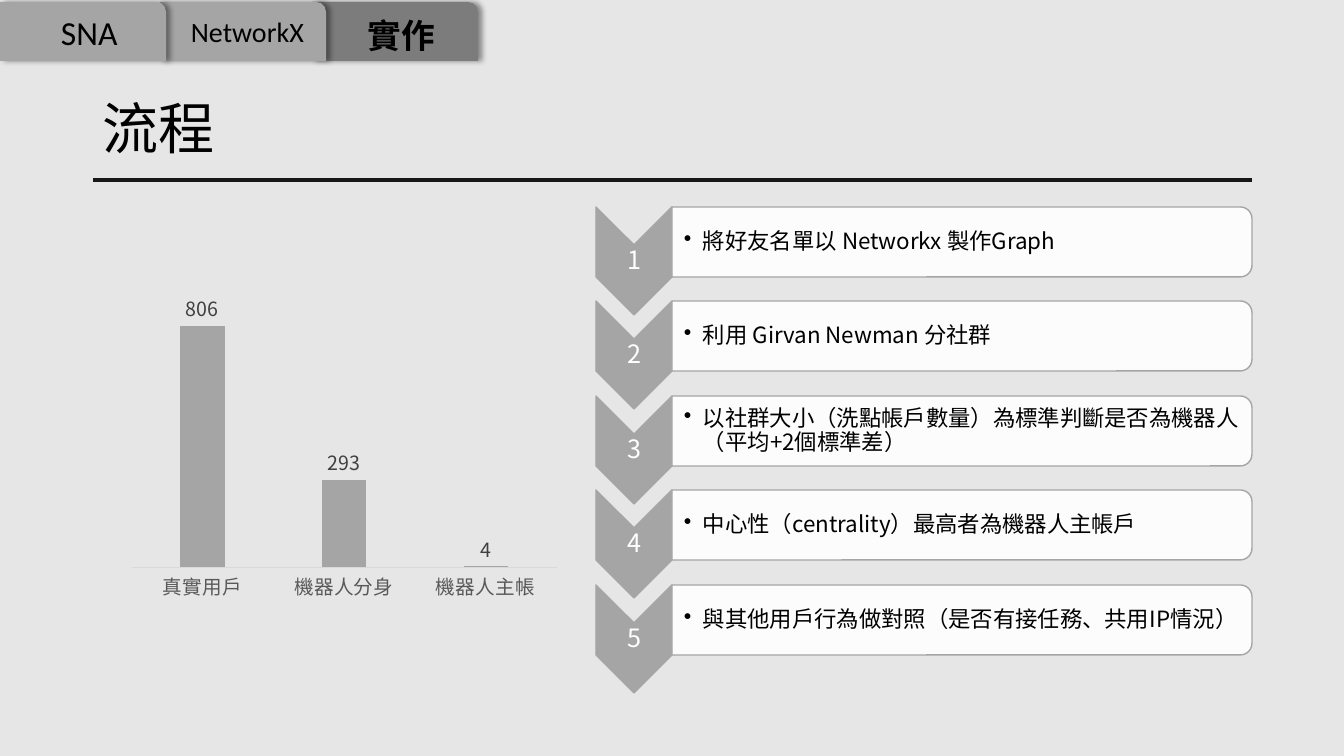
import lxml.etree
import pptx
import pptx.chart.data
import pptx.dml.color
import pptx.enum.chart
import pptx.enum.shapes
import pptx.enum.text
import pptx.oxml
import pptx.oxml.ns
import pptx.util

SCALE = 914400 / 100.8
CJK = "Noto Sans CJK SC"
LATIN = "Calibri"
GRAY, BLACK, WHITE = "A5A5A5", "000000", "FFFFFF"
SHAPES = pptx.enum.shapes.MSO_SHAPE
ALIGN = pptx.enum.text.PP_ALIGN
ANCHOR = pptx.enum.text.MSO_ANCHOR

TABS = [  # label, tab left, fill, text box, size, font, bold, alignment
    ("實作", 312, "7C7C7C", (358, 10, 97, 50), 24, CJK, True, ALIGN.JUSTIFY),
    ("NetworkX", 160, GRAY, (181, 10, 164, 44), 20, LATIN, False, ALIGN.LEFT),
    ("SNA", 0, GRAY, (51, 7, 104, 50), 24, LATIN, False, ALIGN.LEFT),
]
STEPS = [
    "將好友名單以 Networkx 製作Graph",
    "利用 Girvan Newman 分社群",
    "以社群大小（洗點帳戶數量）為標準判斷是否為機器人\n（平均+2個標準差）",
    "中心性（centrality）最高者為機器人主帳戶",
    "與其他用戶行為做對照（是否有接任務、共用IP情況）",
]
ACCOUNTS = {"真實用戶": 806, "機器人分身": 293, "機器人主帳": 4}
FIRST_STEP_TOP, STEP_PITCH = 207, 94.4


def px(length):
    return pptx.util.Emu(round(length * SCALE))


def rgb(code):
    return pptx.dml.color.RGBColor.from_string(code)


def add_xml(parent, tag, **attributes):
    return lxml.etree.SubElement(parent, pptx.oxml.ns.qn(tag), attributes)


def style_font(font, size, color, name=CJK, bold=False):
    font.size = pptx.util.Pt(size)
    font.bold = bold
    font.color.rgb = rgb(color)
    font.name = name
    latin = font._rPr.find(pptx.oxml.ns.qn("a:latin"))
    east_asian = add_xml(font._rPr, "a:ea", typeface=name)
    latin.addnext(east_asian)


def add_text(slide, text, area, size, color=BLACK, name=CJK, bold=False,
             align=ALIGN.LEFT, anchor=ANCHOR.TOP, insets=None, spacing=None):
    box = slide.shapes.add_textbox(*map(px, area))
    frame = box.text_frame
    frame.word_wrap = True
    frame.vertical_anchor = anchor
    if insets:
        (frame.margin_left, frame.margin_top,
         frame.margin_right, frame.margin_bottom) = map(px, insets)
    para = frame.paragraphs[0]
    para.alignment = align
    para.line_spacing = spacing
    for index, line in enumerate(text.split("\n")):
        if index:
            para.add_line_break()
        span = para.add_run()
        span.text = line
        style_font(span.font, size, color, name, bold)
    return para


def add_bullet(para, indent):
    props = para._p.get_or_add_pPr()
    props.set("marL", str(px(indent)))
    props.set("indent", str(px(-indent)))
    add_xml(props, "a:buChar", char="•")


def add_shape(slide, kind, area, fill, line=None):
    shape = slide.shapes.add_shape(kind, *map(px, area))
    shape.shadow.inherit = False
    shape.fill.solid()
    shape.fill.fore_color.rgb = rgb(fill)
    if line:
        shape.line.color.rgb = rgb(line)
        shape.line.width = pptx.util.Pt(1)
    else:
        shape.line.fill.background()
    return shape


def add_turned_shape(slide, kind, area, fill):
    """Fill the visible area with a shape turned by 90 degrees."""
    left, top, width, height = area
    shift = (width - height) / 2
    shape = add_shape(slide, kind, (left + shift, top - shift, height, width), fill, GRAY)
    shape.rotation = 90
    return shape


def add_tab(slide, left, fill):
    tab = add_shape(slide, SHAPES.ROUND_1_RECTANGLE, (left, 2, 166, 59), fill)
    effects = tab._element.spPr.find(pptx.oxml.ns.qn("a:effectLst"))
    shadow = add_xml(effects, "a:outerShdw", blurRad=str(pptx.util.Pt(4)),
                     dist=str(pptx.util.Pt(3)), dir="0", algn="l", rotWithShape="0")
    add_xml(add_xml(shadow, "a:srgbClr", val=BLACK), "a:alpha", val="40000")


def add_rule(slide, left, right, y):
    rule = slide.shapes.add_connector(
        pptx.enum.shapes.MSO_CONNECTOR.STRAIGHT, px(left), px(y), px(right), px(y))
    rule.line.color.rgb = rgb("181717")
    rule.line.width = pptx.util.Pt(2.25)
    add_xml(rule._element.spPr, "a:effectLst")


def add_step(slide, number, text):
    top = round(FIRST_STEP_TOP + (number - 1) * STEP_PITCH)
    add_turned_shape(slide, SHAPES.CHEVRON, (596, top, 76, 108), GRAY)
    add_text(slide, str(number), (596, top + 38, 76, 32), 18, WHITE,
             align=ALIGN.CENTER, anchor=ANCHOR.MIDDLE, insets=(1, 1, 1, 1), spacing=0.9)
    panel = add_turned_shape(slide, SHAPES.ROUND_2_SAME_RECTANGLE,
                             (672, top, 580, 70), WHITE)
    color = panel._element.spPr.find(".//" + pptx.oxml.ns.qn("a:srgbClr"))
    add_xml(color, "a:alpha", val="90000")
    para = add_text(slide, text, (672, top + 4, 577, 63), 16,
                    anchor=ANCHOR.MIDDLE, insets=(12, 1, 1, 1), spacing=0.9)
    para.space_after = pptx.util.Pt(2.4)
    add_bullet(para, 19)


def add_account_chart(slide, area):
    data = pptx.chart.data.CategoryChartData()
    data.categories = list(ACCOUNTS)
    data.add_series("Series 1", list(ACCOUNTS.values()))
    chart = slide.shapes.add_chart(
        pptx.enum.chart.XL_CHART_TYPE.COLUMN_CLUSTERED, *map(px, area), data).chart
    chart.has_legend = False
    chart.has_title = False
    chart.font.name = LATIN
    chart.font.size = pptx.util.Pt(10)

    # Axes
    values = chart.value_axis
    values.visible = False
    values.has_major_gridlines = False
    values.minimum_scale, values.maximum_scale = 0, 900
    names = chart.category_axis
    names.major_tick_mark = pptx.enum.chart.XL_TICK_MARK.NONE
    names.format.line.color.rgb = rgb("D9D9D9")
    names.format.line.width = pptx.util.Pt(0.75)
    style_font(names.tick_labels.font, 14, "595959")

    # Columns and their labels
    plot = chart.plots[0]
    plot.vary_by_categories = False
    plot.gap_width, plot.overlap = 219, -27
    series = plot.series[0]
    series.format.fill.solid()
    series.format.fill.fore_color.rgb = rgb(GRAY)
    labels = series.data_labels
    labels.show_value = True
    labels.position = pptx.enum.chart.XL_LABEL_POSITION.OUTSIDE_END
    style_font(labels.font, 14, "404040")

    # Plot area placement
    plot_area = chart._chartSpace.chart.plotArea
    for old in plot_area.findall(pptx.oxml.ns.qn("c:layout")):
        plot_area.remove(old)
    layout = add_xml(plot_area, "c:layout")
    plot_area.insert(0, layout)
    manual = add_xml(layout, "c:manualLayout")
    for tag, value in (("layoutTarget", "inner"), ("xMode", "edge"), ("yMode", "edge"),
                       ("x", "0.03"), ("y", "0.07"), ("w", "0.93"), ("h", "0.76")):
        add_xml(manual, "c:" + tag, val=value)


def main():
    deck = pptx.Presentation()
    deck.slide_width, deck.slide_height = px(1344), px(756)
    slide = deck.slides.add_slide(deck.slide_layouts[6])
    slide.background.fill.solid()
    slide.background.fill.fore_color.rgb = rgb("E7E6E6")

    # Section tabs, the leftmost in front
    for _, left, fill, *_ in TABS:
        add_tab(slide, left, fill)
    for label, _, _, area, size, name, bold, align in TABS:
        add_text(slide, label, area, size, name=name, bold=bold, align=align)

    # Title
    add_rule(slide, 93, 1252, 180)
    add_text(slide, "流程", (93, 81, 1159, 100), 40, anchor=ANCHOR.MIDDLE, spacing=0.9)

    # Process steps and account counts
    for number, text in enumerate(STEPS, 1):
        add_step(slide, number, text)
    add_account_chart(slide, (118, 273, 457, 355))

    deck.save("out.pptx")


main()
